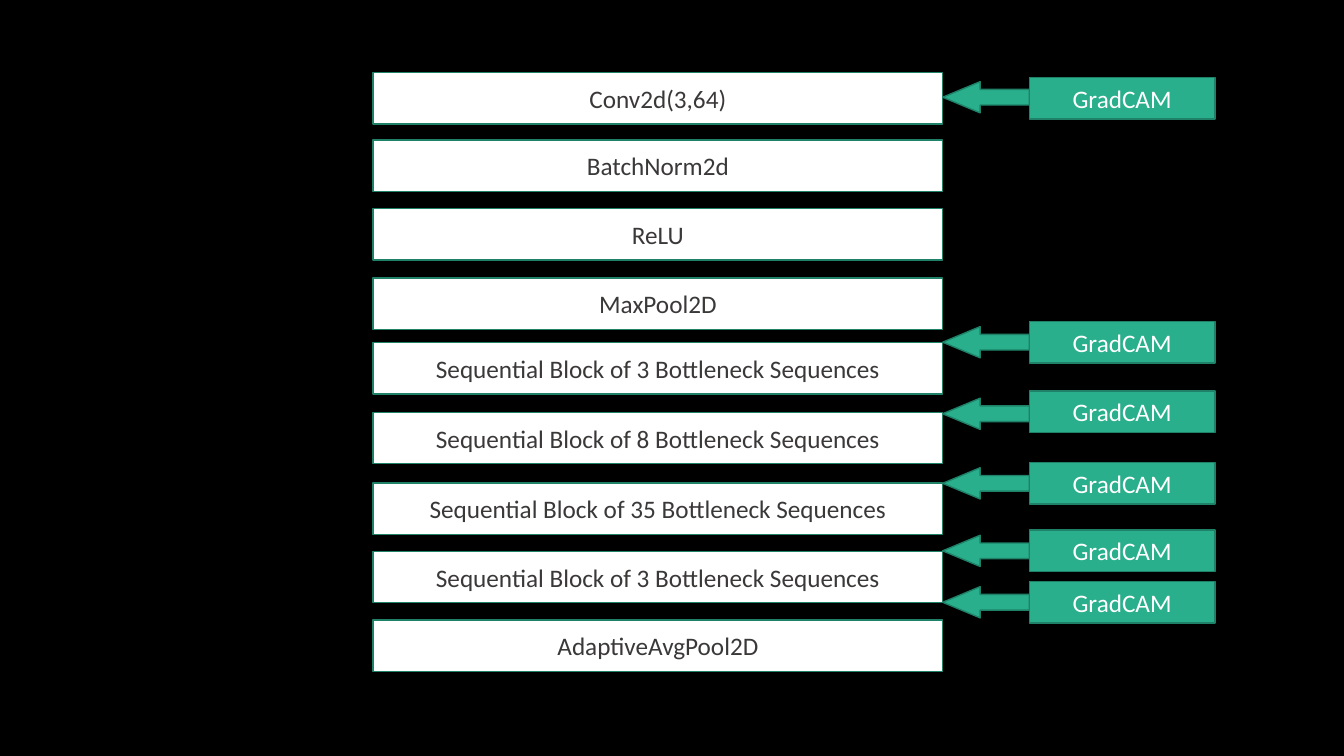
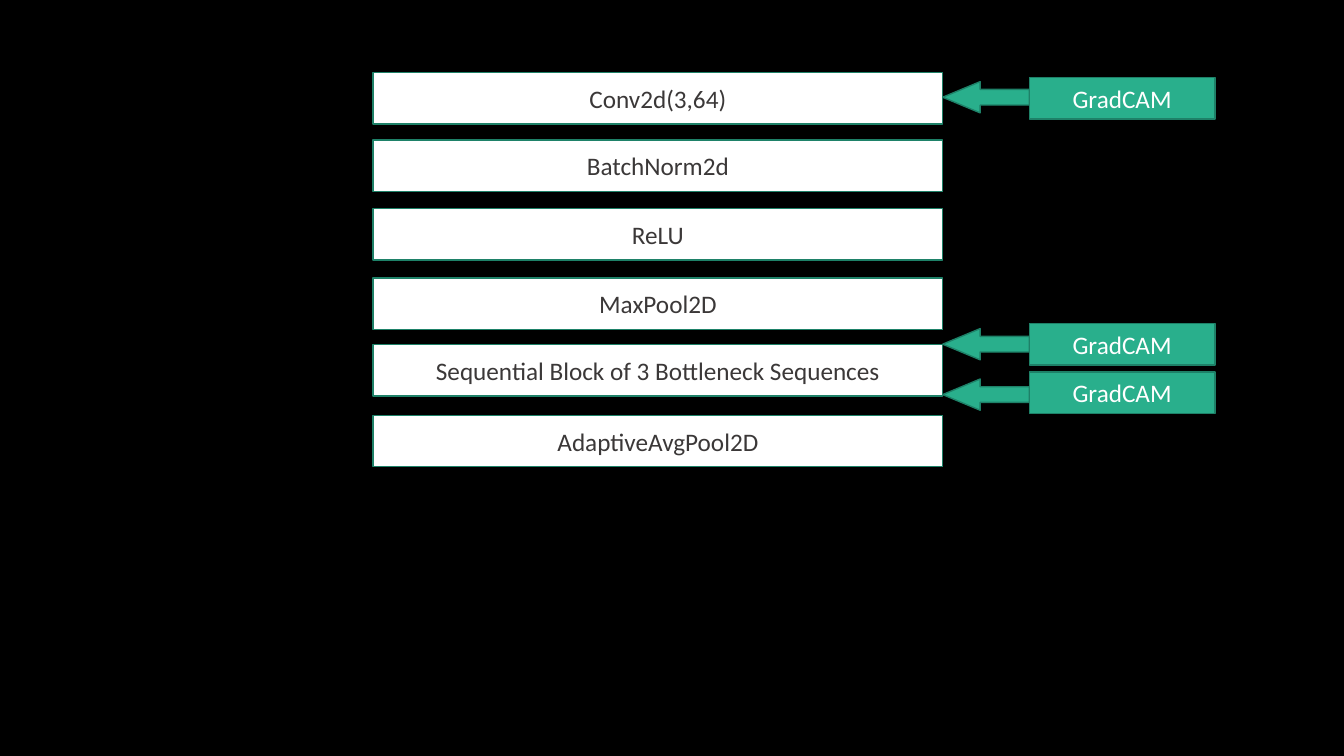
from dataclasses import dataclass

from pptx import Presentation
from pptx import util as u
from pptx.dml import color
from pptx.enum import shapes, text


@dataclass(frozen=True)
class Theme:
    backdrop: str = "000000"
    layer: str = "FFFFFF"
    layer_text: str = "3B3838"
    probe: str = "29AF8C"
    probe_text: str = "FFFFFF"
    outline: str = "1E8168"
    outline_width: float = 1
    font: str = "Calibri"
    size: int = 18


THEME = Theme()

LAYER_LEFT, LAYER_WIDTH, LAYER_HEIGHT = 3.7, 5.65, 0.51
ARROW_LEFT, ARROW_WIDTH, ARROW_HEIGHT = LAYER_LEFT + LAYER_WIDTH, 0.86, 0.31
PROBE_LEFT, PROBE_WIDTH, PROBE_HEIGHT = ARROW_LEFT + ARROW_WIDTH, 1.84, 0.41

STEM = [
    (0.72, "Conv2d(3,64)"),
    (1.39, "BatchNorm2d"),
    (2.07, "ReLU"),
    (2.76, "MaxPool2D"),
]
POOLING = "AdaptiveAvgPool2D"
STEM_PROBE = (0.81, 0.77)

DEEP_BLOCKS = [(3.4, 3), (4.09, 8), (4.79, 35), (5.47, 3)]
DEEP_PROBES = [
    STEM_PROBE,
    (3.24, 3.19),
    (3.95, 3.88),
    (4.64, 4.59),
    (5.31, 5.26),
    (5.82, 5.77),
]
SHALLOW_BLOCKS = [(3.42, 3)]
SHALLOW_PROBES = [STEM_PROBE, (3.26, 3.21), (3.76, 3.69)]


def rgb(value):
    return color.RGBColor.from_string(value)


def write(shape, wording, *, ink, size=THEME.size, font=THEME.font,
          align=text.PP_ALIGN.CENTER, anchor=text.MSO_ANCHOR.MIDDLE):
    frame = shape.text_frame
    frame.word_wrap = True
    frame.vertical_anchor = anchor
    paragraph = frame.paragraphs[0]
    paragraph.alignment = align
    run = paragraph.add_run()
    run.text = wording
    run.font.name = font
    run.font.size = u.Pt(size)
    run.font.color.rgb = rgb(ink)


def add_outlined(slide, preset, left, top, width, height, fill):
    outlined = slide.shapes.add_shape(
        preset, u.Inches(left), u.Inches(top), u.Inches(width), u.Inches(height))
    outlined.shadow.inherit = False
    outlined.fill.solid()
    outlined.fill.fore_color.rgb = rgb(fill)
    outlined.line.color.rgb = rgb(THEME.outline)
    outlined.line.width = u.Pt(THEME.outline_width)
    return outlined


def add_layer(slide, top, wording):
    layer = add_outlined(slide, shapes.MSO_SHAPE.RECTANGLE, LAYER_LEFT, top,
                         LAYER_WIDTH, LAYER_HEIGHT, THEME.layer)
    write(layer, wording, ink=THEME.layer_text)


def add_arrow(slide, top):
    arrow = add_outlined(slide, shapes.MSO_SHAPE.LEFT_ARROW, ARROW_LEFT, top,
                         ARROW_WIDTH, ARROW_HEIGHT, THEME.probe)
    arrow.adjustments[0] = 0.5
    arrow.adjustments[1] = 1.2


def add_probe(slide, top):
    probe = add_outlined(slide, shapes.MSO_SHAPE.RECTANGLE, PROBE_LEFT, top,
                         PROBE_WIDTH, PROBE_HEIGHT, THEME.probe)
    write(probe, "GradCAM", ink=THEME.probe_text)


def add_network(deck, blocks, pooling_top, probes):
    slide = deck.slides.add_slide(deck.slide_layouts[6])
    for top, wording in STEM:
        add_layer(slide, top, wording)
    for top, count in blocks:
        add_layer(slide, top, f"Sequential Block of {count} Bottleneck Sequences")
    add_layer(slide, pooling_top, POOLING)
    for arrow_top, probe_top in probes:
        add_arrow(slide, arrow_top)
        add_probe(slide, probe_top)


def main():
    deck = Presentation()
    deck.slide_width = u.Inches(13.33)
    deck.slide_height = u.Inches(7.5)
    backdrop = deck.slide_master.background.fill
    backdrop.solid()
    backdrop.fore_color.rgb = rgb(THEME.backdrop)
    add_network(deck, DEEP_BLOCKS, 6.15, DEEP_PROBES)
    add_network(deck, SHALLOW_BLOCKS, 4.12, SHALLOW_PROBES)
    deck.save("out.pptx")


if __name__ == "__main__":
    main()
